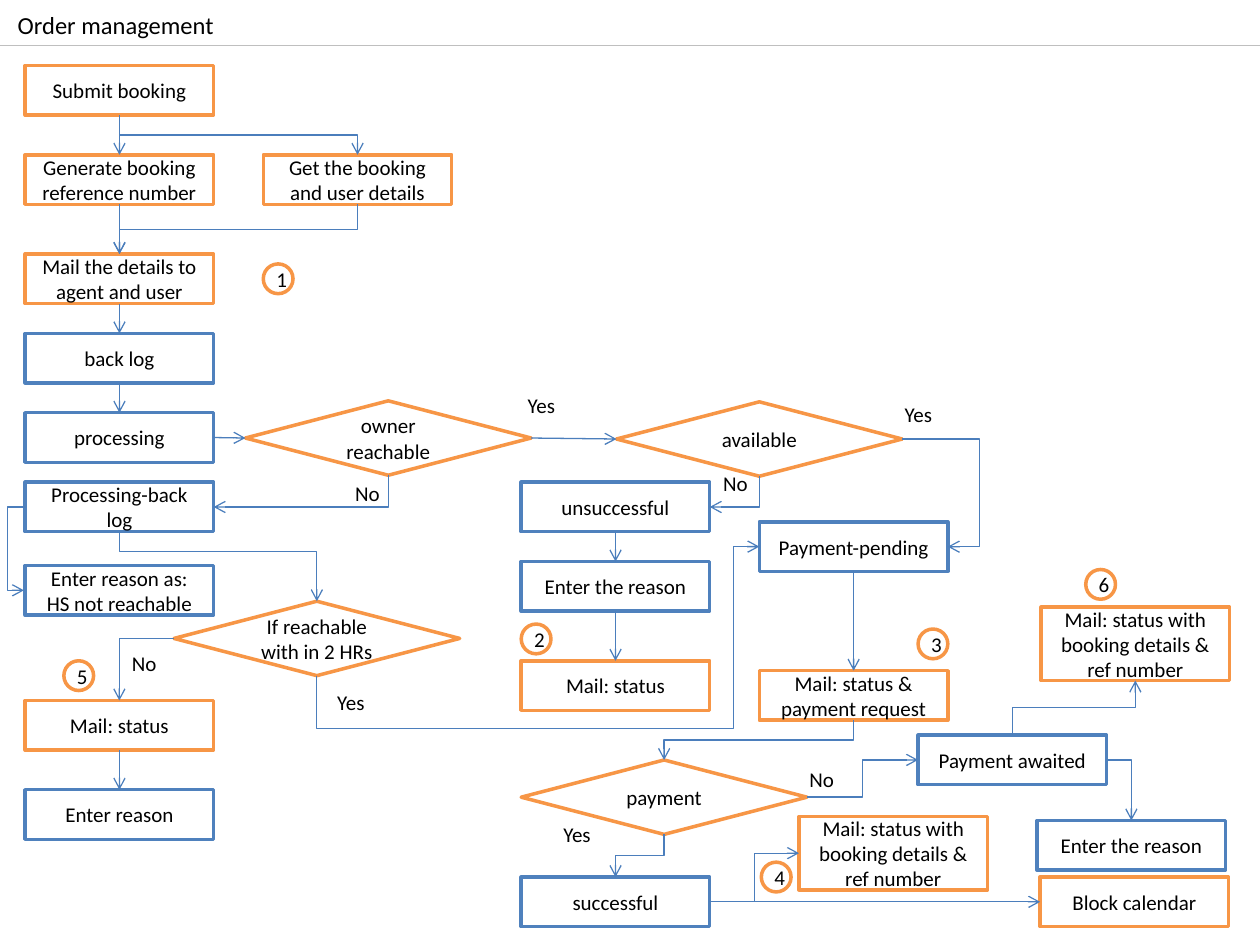
from dataclasses import dataclass

from lxml import etree
from pptx import Presentation
from pptx import util as u
from pptx.dml.color import RGBColor
from pptx.enum import shapes, text
from pptx.oxml import ns


@dataclass(frozen=True)
class Theme:
    font: str = "Calibri"
    title_size: int = 14
    body_size: int = 12
    text: str = "000000"
    paper: str = "FFFFFF"
    mail: str = "F79646"
    state: str = "4F81BD"
    arrow: str = "4B7EBC"
    rule: str = "BFBFBF"
    outline: float = 2
    thin: float = 0.75


THEME = Theme()
UNIT = u.Cm(0.2)  # one grid cell
BOX, TALL, DIAMOND, BADGE, LABEL = (19, 5), (19, 7.4), (28.8, 7.5), (3, 3), (6.5, 3.8)
SIDES = {"top": 0, "left": 1, "bottom": 2, "right": 3}
SHAPE = shapes.MSO_SHAPE

# Steps: name, text, column, row, size, outline colour
STEPS = [
    ("submit", "Submit booking", 0, 0, BOX, THEME.mail),
    ("generate", "Generate booking reference number", 0, 9, BOX, THEME.mail),
    ("details", "Get the booking and user details", 24, 9, BOX, THEME.mail),
    ("mail agent", "Mail the details to agent and user", 0, 19, BOX, THEME.mail),
    ("back log", "back log", 0, 27, BOX, THEME.state),
    ("processing", "processing", 0, 35, BOX, THEME.state),
    ("processing log", "Processing-back log", 0, 42, BOX, THEME.state),
    ("not reachable", "Enter reason as: HS not reachable", 0, 50.4, BOX, THEME.state),
    ("mail late", "Mail: status", 0, 64, BOX, THEME.mail),
    ("late reason", "Enter reason", 0, 73, BOX, THEME.state),
    ("unsuccessful", "unsuccessful", 50, 42, BOX, THEME.state),
    ("failed reason", "Enter the reason", 50, 50, BOX, THEME.state),
    ("mail failed", "Mail: status", 50, 60, BOX, THEME.mail),
    ("successful", "successful", 50, 81.8, BOX, THEME.state),
    ("pending", "Payment-pending", 74, 46, BOX, THEME.state),
    ("request", "Mail: status & payment request", 74, 61, BOX, THEME.mail),
    ("mail paid", "Mail: status with booking details & ref number",
     78, 75.7, TALL, THEME.mail),
    ("awaited", "Payment awaited", 90, 67.5, BOX, THEME.state),
    ("mail awaited", "Mail: status with booking details & ref number",
     102.4, 54.6, TALL, THEME.mail),
    ("unpaid reason", "Enter the reason", 102, 76.1, BOX, THEME.state),
    ("calendar", "Block calendar", 102.3, 81.8, BOX, THEME.mail),
]

# Decisions: name, text, column, row
DECISIONS = [
    ("owner", "owner reachable", 22.2, 33.8),
    ("available", "available", 59.6, 33.9),
    ("in time", "If reachable with in 2 HRs", 15, 54),
    ("payment", "payment", 50, 70),
]

# Numbered badges and branch labels: text, column, row
BADGES = [("1", 24, 20), ("2", 50, 56.3), ("3", 90, 56.8),
          ("4", 74.2, 80.3), ("5", 3.9, 60), ("6", 106.9, 50.8)]
LABELS = [("Yes", 49.4, 32.3), ("Yes", 87.4, 33.2), ("No", 32, 41.2), ("No", 69.1, 40.2),
          ("No", 9.5, 58.3), ("Yes", 30.2, 62.3), ("No", 77.8, 70), ("Yes", 53, 75.6)]

# Arrows: start, side, end, side, then the grid positions of fixed bends
ARROWS = [
    ("submit", "bottom", "generate", "top"),
    ("submit", "bottom", "details", "top"),
    ("generate", "bottom", "mail agent", "top"),
    ("details", "bottom", "mail agent", "top"),
    ("mail agent", "bottom", "back log", "top"),
    ("back log", "bottom", "processing", "top"),
    ("processing", "right", "owner", "left"),
    ("owner", "right", "available", "left"),
    ("owner", "bottom", "processing log", "right"),
    ("processing log", "left", "not reachable", "left", -1.8),
    ("processing log", "bottom", "in time", "top", 49),
    ("in time", "left", "mail late", "top"),
    ("in time", "bottom", "pending", "left", 66.8, 71.4),
    ("mail late", "bottom", "late reason", "top"),
    ("available", "bottom", "unsuccessful", "right"),
    ("available", "right", "pending", "right", 96.2),
    ("unsuccessful", "bottom", "failed reason", "top"),
    ("failed reason", "bottom", "mail failed", "top"),
    ("pending", "bottom", "request", "top"),
    ("request", "bottom", "payment", "top"),
    ("payment", "right", "awaited", "left"),
    ("payment", "bottom", "successful", "top"),
    ("awaited", "top", "mail awaited", "bottom"),
    ("awaited", "right", "unpaid reason", "top"),
    ("successful", "right", "mail paid", "left"),
    ("successful", "right", "calendar", "left"),
]


def write(shape, words, size=THEME.body_size, align=text.PP_ALIGN.LEFT,
          anchor=text.MSO_ANCHOR.TOP):
    frame = shape.text_frame
    frame.text = words
    for name, value in {"word_wrap": True, "vertical_anchor": anchor}.items():
        setattr(frame, name, value)
    paragraph = frame.paragraphs[0]
    paragraph.alignment = align
    for name, value in {"name": THEME.font, "size": u.Pt(size)}.items():
        setattr(paragraph.font, name, value)
    paragraph.font.color.rgb = RGBColor.from_string(THEME.text)


def place(origin, column, row, size):
    """Turn grid cells into left, top, width and height."""
    return [int(value) for value in (origin[0] + column * UNIT, origin[1] + row * UNIT,
                                     size[0] * UNIT, size[1] * UNIT)]


def add_node(slide, kind, words, box, color):
    shape = slide.shapes.add_shape(kind, *box)
    shape.shadow.inherit = False
    shape.fill.solid()
    shape.fill.fore_color.rgb = RGBColor.from_string(THEME.paper)
    shape.line.color.rgb = RGBColor.from_string(color)
    shape.line.width = u.Pt(THEME.outline)
    write(shape, words, align=text.PP_ALIGN.CENTER, anchor=text.MSO_ANCHOR.MIDDLE)
    return shape


def style_line(connector, color):
    connector.line.color.rgb = RGBColor.from_string(color)
    connector.line.width = u.Pt(THEME.thin)
    etree.SubElement(connector.element.spPr, ns.qn("a:effectLst"))


def site(shape, side):
    """Find the connection point in the middle of one side."""
    across, down = {"top": (0.5, 0), "left": (0, 0.5),
                    "bottom": (0.5, 1), "right": (1, 0.5)}[side]
    return int(shape.left + across * shape.width), int(shape.top + down * shape.height)


def bend(connector, start, end, vertical, ratios):
    """Shape an elbow; one that leaves vertically is turned a quarter."""
    dx, dy = end[0] - start[0], end[1] - start[1]
    width, height = (abs(dy), abs(dx)) if vertical else (abs(dx), abs(dy))
    frame = {"left": (start[0] + end[0] - width) // 2,
             "top": (start[1] + end[1] - height) // 2, "width": width, "height": height}
    for name, value in frame.items():
        setattr(connector, name, value)
    flips = (dy < 0, dx > 0) if vertical else (dx < 0, dy < 0)
    xfrm = connector.element.spPr.find(ns.qn("a:xfrm"))
    for name, value in zip(("rot", "flipH", "flipV"), (5400000 * vertical, *flips)):
        xfrm.set(name, str(int(value)))
    geometry = connector.element.spPr.find(ns.qn("a:prstGeom"))
    geometry.set("prst", f"bentConnector{2 + len(ratios)}")
    guides = geometry.find(ns.qn("a:avLst"))
    if guides is None:
        guides = etree.SubElement(geometry, ns.qn("a:avLst"))
    for number, ratio in enumerate(ratios, 1):
        etree.SubElement(guides, ns.qn("a:gd"), name=f"adj{number}",
                         fmla=f"val {round(ratio * 100000)}")


def add_arrow(slide, origin, nodes, first, first_side, last, last_side, *bends):
    start, end = site(nodes[first], first_side), site(nodes[last], last_side)
    vertical = first_side in ("top", "bottom")
    same_axis = vertical == (last_side in ("top", "bottom"))
    offset = abs(end[1 - vertical] - start[1 - vertical])
    straight = same_axis and not bends and offset < UNIT
    kind = shapes.MSO_CONNECTOR.STRAIGHT if straight else shapes.MSO_CONNECTOR.ELBOW
    connector = slide.shapes.add_connector(kind, *start, *end)
    connector.begin_connect(nodes[first], SIDES[first_side])
    connector.end_connect(nodes[last], SIDES[last_side])
    if not straight:
        if start[0] == end[0]:  # a side loop needs some width to scale its bend
            end = end[0] - u.Inches(0.01), end[1]
        ratios = [0.5] if same_axis else []
        if bends:
            axes = (int(vertical), 1 - vertical)
            ratios = [(origin[axis] + cell * UNIT - start[axis]) / (end[axis] - start[axis])
                      for axis, cell in zip(axes, bends)]
        bend(connector, start, end, vertical, ratios)
    style_line(connector, THEME.arrow)
    etree.SubElement(connector.line._get_or_add_ln(), ns.qn("a:tailEnd"), type="arrow")


def add_heading(slide, left, top, width, height):
    rule = slide.shapes.add_connector(shapes.MSO_CONNECTOR.STRAIGHT, left, top + height,
                                      left + width, top + height)
    style_line(rule, THEME.rule)
    title = slide.shapes.title
    box = {"left": left + u.Inches(0.04), "top": top + u.Inches(0.03),
           "width": int(width * 0.84), "height": height - u.Inches(0.02)}
    for name, value in box.items():
        setattr(title, name, value)
    write(title, "Order management", THEME.title_size)


def add_flow(slide, *origin):
    nodes = {}
    # Steps and decisions
    for name, words, column, row, size, color in STEPS:
        box = place(origin, column, row, size)
        nodes[name] = add_node(slide, SHAPE.RECTANGLE, words, box, color)
    for name, words, column, row in DECISIONS:
        box = place(origin, column, row, DIAMOND)
        nodes[name] = add_node(slide, SHAPE.DIAMOND, words, box, THEME.mail)
    # Arrows
    for arrow in ARROWS:
        add_arrow(slide, origin, nodes, *arrow)
    # Badges and branch labels
    for words, column, row in BADGES:
        add_node(slide, SHAPE.OVAL, words, place(origin, column, row, BADGE), THEME.mail)
    for words, column, row in LABELS:
        write(slide.shapes.add_textbox(*place(origin, column, row, LABEL)), words)


def main():
    presentation = Presentation()
    presentation.slide_width, presentation.slide_height = u.Inches(10), u.Inches(7.5)
    slide = presentation.slides.add_slide(presentation.slide_layouts[5])
    add_heading(slide, 0, 0, presentation.slide_width, u.Inches(0.36))
    add_flow(slide, u.Inches(0.2), u.Inches(0.52))
    presentation.save("out.pptx")


if __name__ == "__main__":
    main()
